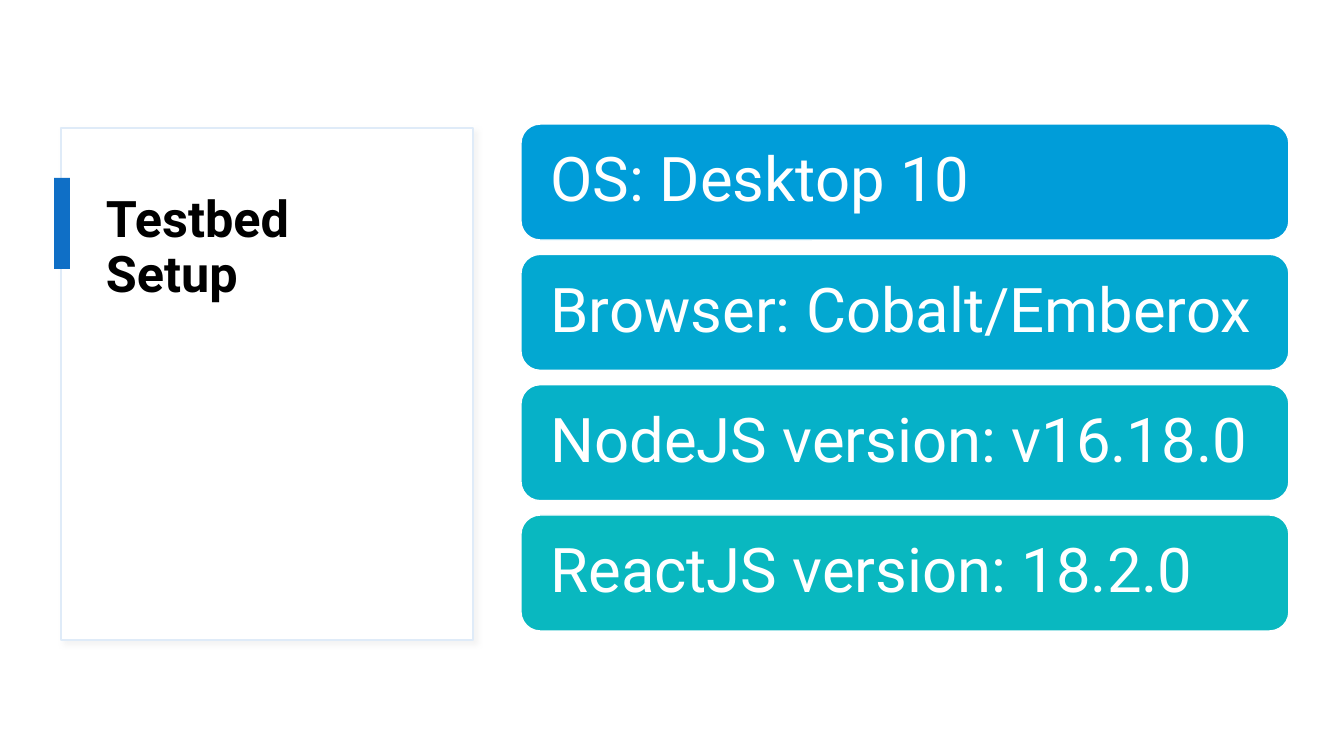
from dataclasses import dataclass

from lxml.etree import SubElement
from pptx import Presentation
from pptx.dml.color import RGBColor
from pptx.enum.shapes import MSO_SHAPE
from pptx.enum.text import MSO_ANCHOR, MSO_AUTO_SIZE, PP_ALIGN
from pptx.oxml.ns import qn
from pptx.util import Pt

PX = 12192000 / 1344  # EMU in one px


@dataclass(frozen=True)
class Theme:
    font: str = "Roboto"
    title_size: int = 36
    row_size: int = 44
    ink: str = "000000"
    paper: str = "FFFFFF"
    card_edge: str = "DFEBF8"
    shade: str = "D9D9D9"
    accent: str = "0F6FC6"
    rows: tuple = ("009DD9", "03A8D1", "06B1C8", "09B8C0")


THEME = Theme()
SETUP = (
    "OS: Desktop 10",
    "Browser: Cobalt/Emberox",
    "NodeJS version: v16.18.0",
    "ReactJS version: 18.2.0",
)


def px(length):
    return round(length * PX)


def add_block(page, kind, box, fill, line=None):
    block = page.shapes.add_shape(kind, *map(px, box))
    block.shadow.inherit = False
    block.fill.solid()
    block.fill.fore_color.rgb = RGBColor.from_string(fill)
    if line:
        block.line.color.rgb = RGBColor.from_string(line)
        block.line.width = Pt(1)
    else:
        block.line.fill.background()
    return block


def write(shape, text, *, size, color, bold=False, anchor=MSO_ANCHOR.TOP,
          insets=(10, 5, 10, 5)):
    frame = shape.text_frame
    frame.word_wrap = True
    frame.auto_size = MSO_AUTO_SIZE.NONE
    frame.vertical_anchor = anchor
    (frame.margin_left, frame.margin_top,
     frame.margin_right, frame.margin_bottom) = map(px, insets)
    para = frame.paragraphs[0]
    para.alignment = PP_ALIGN.LEFT
    para.line_spacing = 0.9
    span = para.add_run()
    span.text = text
    span.font.name = THEME.font
    span.font.size = Pt(size)
    span.font.bold = bold
    span.font.color.rgb = RGBColor.from_string(color)


def add_soft_shadow(shape):
    effects = shape._element.spPr.find(qn("a:effectLst"))
    shadow = SubElement(effects, qn("a:outerShdw"), blurRad=str(Pt(4)),
                        dist=str(Pt(3)), dir="2700000", algn="tl", rotWithShape="0")
    color = SubElement(shadow, qn("a:srgbClr"), val=THEME.shade)
    SubElement(color, qn("a:alpha"), val="30000")


def add_title_card(page, box, text):
    left, top, width, height = box
    # Framed card with its accent bar
    card = add_block(page, MSO_SHAPE.RECTANGLE, box, THEME.paper, THEME.card_edge)
    add_soft_shadow(card)
    add_block(page, MSO_SHAPE.RECTANGLE, (left - 7, top + 50, 16, 91), THEME.accent)

    # Title, raised above the card
    title = page.shapes.title
    title.left, title.top = px(left + 35), px(top + 61)
    title.width, title.height = px(width - 70), px(height - 124)
    write(title, text, size=THEME.title_size, color=THEME.ink, bold=True,
          insets=(10, 5, 20, 5))
    card._element.addnext(title._element)


def add_setup_rows(page, box, texts, row_height=116):
    left, top, width, height = box
    pitch = (height - row_height) / (len(texts) - 1)
    for index, (text, fill) in enumerate(zip(texts, THEME.rows)):
        row = add_block(page, MSO_SHAPE.ROUNDED_RECTANGLE,
                        (left, top + index * pitch, width, row_height),
                        fill, THEME.paper)
        write(row, text, size=THEME.row_size, color=THEME.paper,
              anchor=MSO_ANCHOR.MIDDLE, insets=(24, 18, 24, 18))


def main():
    deck = Presentation()
    deck.slide_width, deck.slide_height = px(1344), px(756)
    page = deck.slides.add_slide(deck.slide_layouts[5])
    add_title_card(page, (61, 128, 412, 512), "Testbed Setup")
    add_setup_rows(page, (521, 124, 768, 507), SETUP)
    deck.save("out.pptx")


if __name__ == "__main__":
    main()
